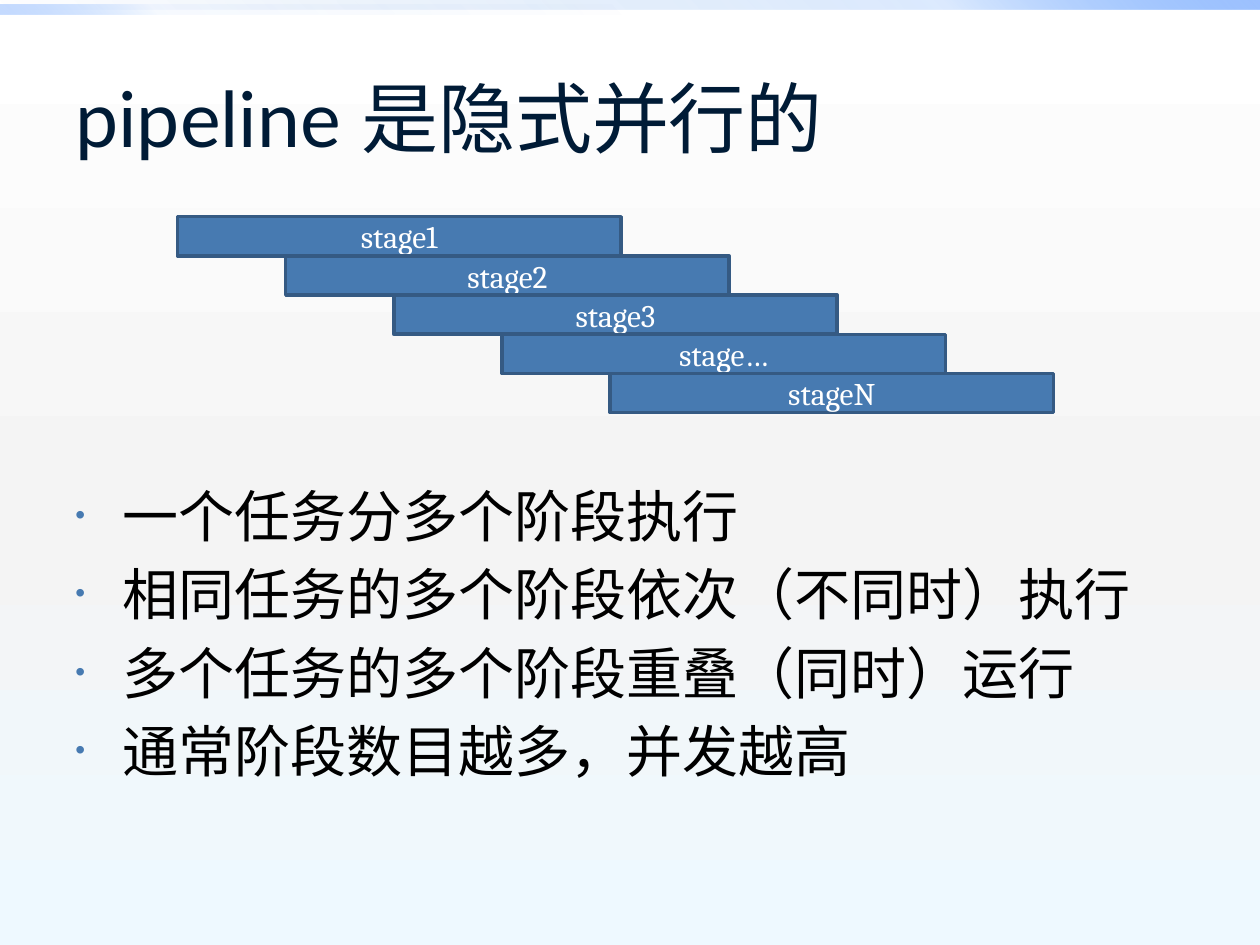
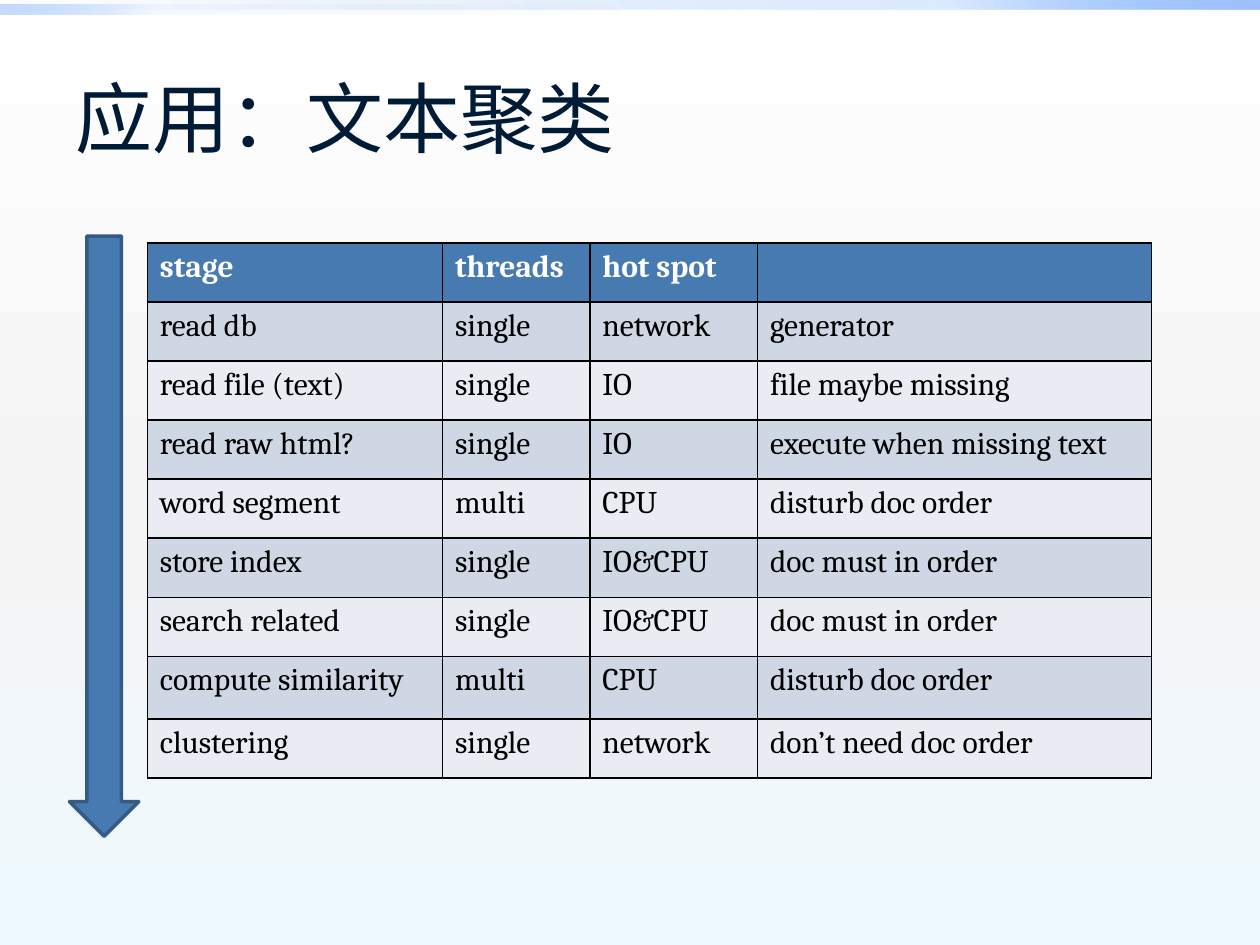
from lxml import etree
from pptx import Presentation
from pptx.dml.color import RGBColor
from pptx.enum.shapes import MSO_SHAPE
from pptx.enum.text import MSO_ANCHOR, PP_ALIGN
from pptx.oxml.ns import qn
from pptx.util import Cm, Pt

RECT, DOWN_ARROW = MSO_SHAPE.RECTANGLE, MSO_SHAPE.DOWN_ARROW
MIDDLE, CENTER = MSO_ANCHOR.MIDDLE, PP_ALIGN.CENTER

NAVY = RGBColor(0x00, 0x1B, 0x36)
BLUE = RGBColor(0x47, 0x7A, 0xB1)
EDGE = RGBColor(0x35, 0x5A, 0x83)
ROW_DARK = RGBColor(0xCF, 0xD7, 0xE4)
ROW_LIGHT = RGBColor(0xE9, 0xEC, 0xF2)
BLACK = RGBColor(0x00, 0x00, 0x00)
WHITE = RGBColor(0xFF, 0xFF, 0xFF)
TITLE_FONT, BODY_FONT = "Lato", "Cambria"

# Gradient stops: position %, colour, opacity %
BACKDROP = [(0, "FFFFFF", 100), (55, "F4F4F4", 100), (100, "EEF9FF", 100)]
BANDS = [  # top, width, stops, angle
    (0, 25.4, [(0, "0058B7", 0), (75, "4F95FF", 20), (100, "9EC2FF", 100)], 315),
    (0.1, 12.7, [(0, "0058B7", 0), (75, "4F95FF", 5), (100, "9EC2FF", 60)], 135),
]


def set_gradient(fill, element, stops, angle):
    fill.gradient()
    grad = element.find(".//" + qn("a:gradFill"))
    for child in list(grad):
        grad.remove(child)
    stop_list = etree.SubElement(grad, qn("a:gsLst"))
    for pos, color, opacity in stops:
        gs = etree.SubElement(stop_list, qn("a:gs"), pos=str(pos * 1000))
        clr = etree.SubElement(gs, qn("a:srgbClr"), val=color)
        if opacity < 100:
            etree.SubElement(clr, qn("a:alpha"), val=str(opacity * 1000))
    etree.SubElement(grad, qn("a:lin"), ang=str(angle * 60000), scaled="0")


def style(p, font, size, color, bold=False):
    for r in p.runs:
        r.font.name, r.font.size, r.font.bold = font, Pt(size), bold
        r.font.color.rgb = color


prs = Presentation()
prs.slide_width, prs.slide_height = Cm(25.4), Cm(19.05)

# Shared backdrop, top bands and title
slides = []
for title in ["pipeline 是隐式并行的", "应用：文本聚类"]:
    s = prs.slides.add_slide(prs.slide_layouts[6])
    set_gradient(s.background.fill, s._element, BACKDROP, 90)
    for top, width, stops, angle in BANDS:
        sp = s.shapes.add_shape(RECT, 0, Cm(top), Cm(width), Cm(0.2))
        sp.shadow.inherit = False
        sp.line.fill.background()
        set_gradient(sp.fill, sp._element, stops, angle)
    tf = s.shapes.add_textbox(Cm(1.27), Cm(0.76), Cm(22.86), Cm(3.18)).text_frame
    tf.word_wrap = True
    tf.vertical_anchor = MIDDLE
    tf.text = title
    style(tf.paragraphs[0], TITLE_FONT, 44, NAVY)
    slides.append(s)
pipeline, clustering = slides

# Slide 1: bullets
BULLETS = [
    "一个任务分多个阶段执行",
    "相同任务的多个阶段依次（不同时）执行",
    "多个任务的多个阶段重叠（同时）运行",
    "通常阶段数目越多，并发越高",
]
tf = pipeline.shapes.add_textbox(Cm(1.27), Cm(9.58), Cm(22.86), Cm(7.49)).text_frame
tf.word_wrap = True
tf.text = "\n".join(BULLETS)
for p in tf.paragraphs:
    style(p, BODY_FONT, 32, BLACK)
    pPr = p._p.get_or_add_pPr()
    pPr.set("marL", str(Cm(0.95)))
    pPr.set("indent", str(-Cm(0.95)))
    space = etree.SubElement(pPr, qn("a:spcBef"))
    etree.SubElement(space, qn("a:spcPct"), val="20000")
    color = etree.SubElement(pPr, qn("a:buClr"))
    etree.SubElement(color, qn("a:srgbClr"), val=str(BLUE))
    etree.SubElement(pPr, qn("a:buSzPct"), val="50000")
    etree.SubElement(pPr, qn("a:buFont"), typeface="Arial")
    etree.SubElement(pPr, qn("a:buChar"), char="•")

# Slide 1: staircase of stages
stages = []
for i, name in enumerate(["stage1", "stage2", "stage3", "stage…", "stageN"]):
    sp = pipeline.shapes.add_shape(
        RECT, Cm(3.58 + 2.18 * i), Cm(4.37 + 0.79 * i), Cm(8.94), Cm(0.79))
    tf = sp.text_frame
    tf.text = name
    tf.vertical_anchor = MIDDLE
    tf.paragraphs[0].alignment = CENTER
    style(tf.paragraphs[0], BODY_FONT, 18, WHITE)
    stages.append(sp)

# Slide 2: table of stages
ROWS = [
    ("stage", "threads", "hot spot", ""),
    ("read db", "single", "network", "generator"),
    ("read file (text)", "single", "IO", "file maybe missing"),
    ("read raw html?", "single", "IO", "execute when missing text"),
    ("word segment", "multi", "CPU", "disturb doc order"),
    ("store index", "single", "IO&CPU", "doc must in order"),
    ("search related", "single", "IO&CPU", "doc must in order"),
    ("compute similarity", "multi", "CPU", "disturb doc order"),
    ("clustering", "single", "network", "don’t need doc order"),
]
COL_WIDTHS = [5.95, 2.97, 3.38, 7.94]
table = clustering.shapes.add_table(
    len(ROWS), len(COL_WIDTHS), Cm(2.97), Cm(4.9), Cm(20.24), Cm(10.77)).table
for column, width in zip(table.columns, COL_WIDTHS):
    column.width = Cm(width)
for i, row in enumerate(ROWS):
    table.rows[i].height = Cm(1.26 if row[0] == "compute similarity" else 1.19)
    header = i == 0
    for j, text in enumerate(row):
        cell = table.cell(i, j)
        cell.text = text
        style(cell.text_frame.paragraphs[0], BODY_FONT, 18,
              WHITE if header else BLACK, header)
        cell.fill.solid()
        cell.fill.fore_color.rgb = BLUE if header else ROW_DARK if i % 2 else ROW_LIGHT
        tcPr = cell._tc.get_or_add_tcPr()
        for k, side in enumerate(["a:lnL", "a:lnR", "a:lnT", "a:lnB"]):
            ln = etree.Element(qn(side), w=str(Pt(1)))
            solid = etree.SubElement(ln, qn("a:solidFill"))
            etree.SubElement(solid, qn("a:srgbClr"), val=str(BLACK))
            tcPr.insert(k, ln)

# Slide 2: flow arrow
arrow = clustering.shapes.add_shape(DOWN_ARROW, Cm(1.4), Cm(4.76), Cm(1.4), Cm(12.1))

# Shared look of stages and arrow
for sp in stages + [arrow]:
    sp.shadow.inherit = False
    sp.fill.solid()
    sp.fill.fore_color.rgb = BLUE
    sp.line.color.rgb = EDGE
    sp.line.width = Pt(2)

prs.save("out.pptx")
